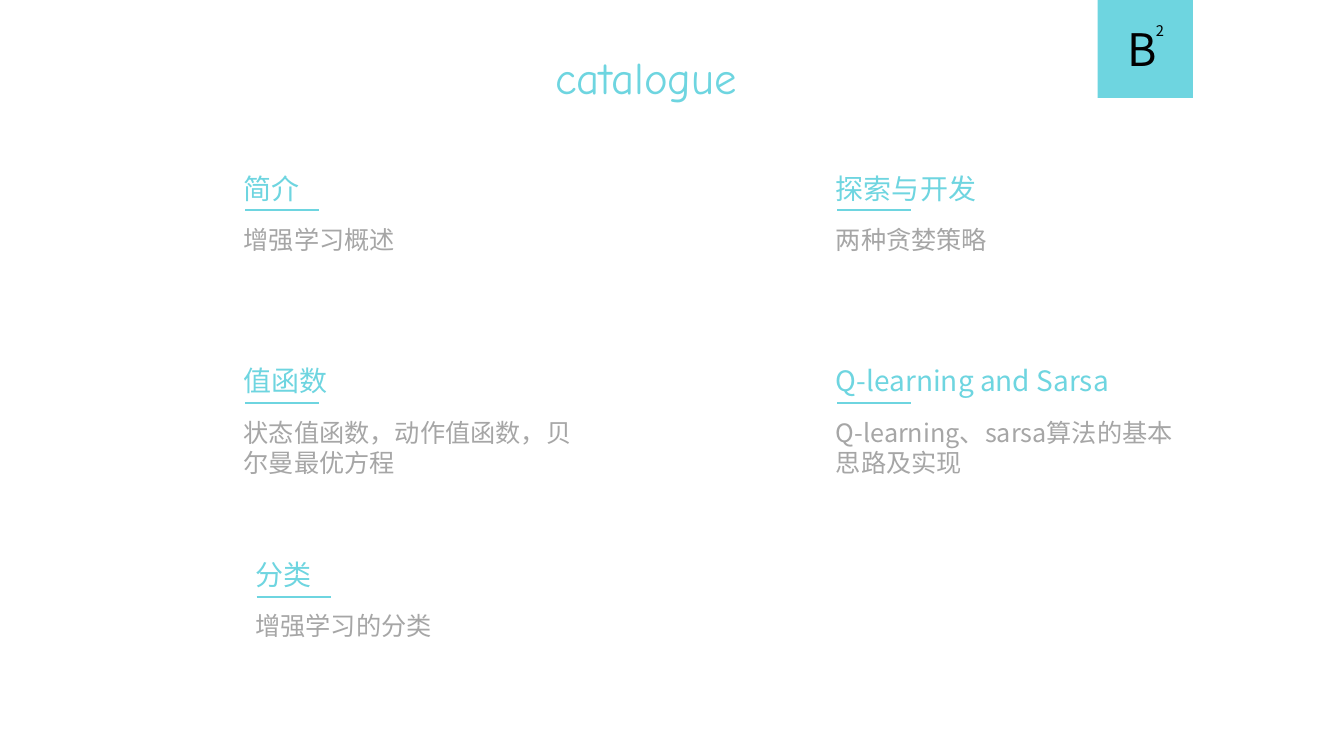
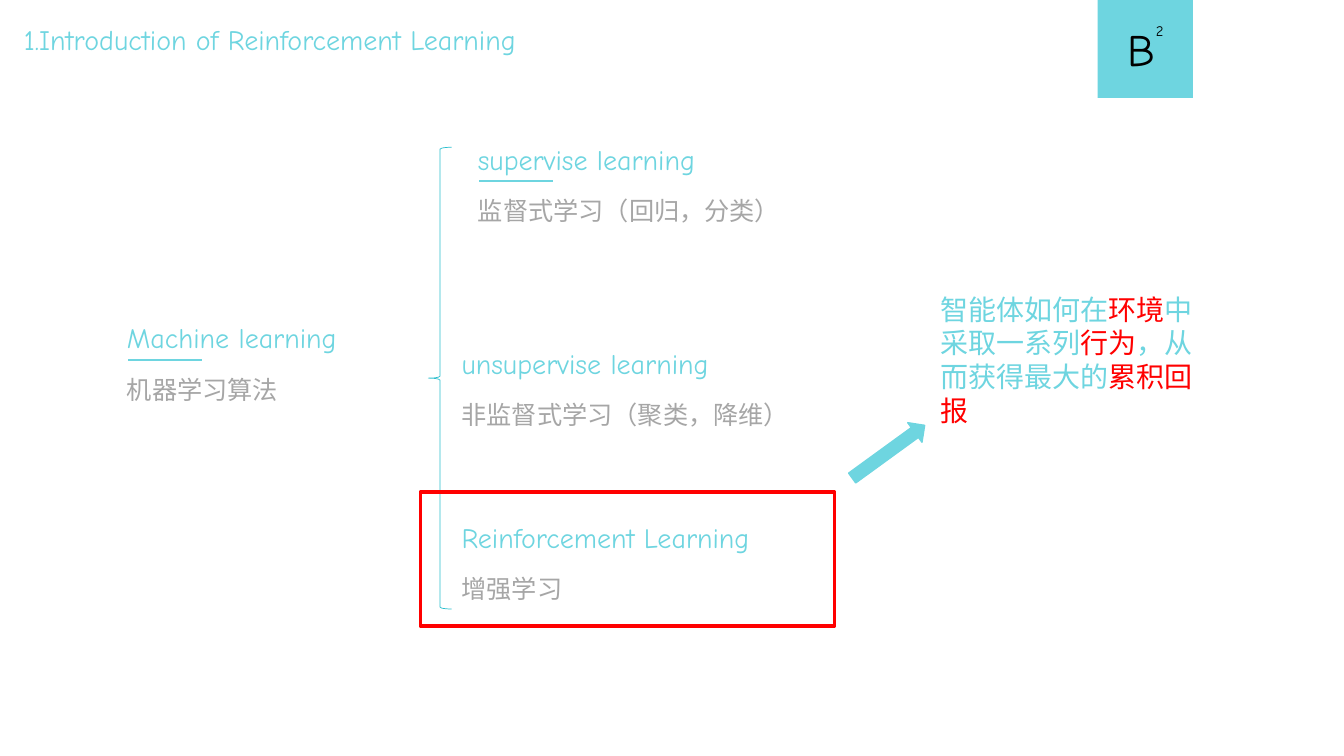
from lxml import etree
from pptx import Presentation
from pptx.dml.color import RGBColor
from pptx.enum import shapes, text
from pptx.oxml.ns import qn
from pptx.util import Pt

AQUA = RGBColor(0x6E, 0xD5, 0xE0)
TEAL = RGBColor(0x2C, 0xBF, 0xCE)
GRAY = RGBColor(0xA6, 0xA6, 0xA6)
RED = RGBColor(0xFF, 0, 0)
BLACK = RGBColor(0, 0, 0)
HAN, COMIC = "Noto Sans CJK SC", "Comic Neue"

# Content: column, row, heading, heading width, body
LEFT, RIGHT = 167, 590
TOP, MIDDLE = 118.6, 256.2
CATALOGUE = [
    (LEFT, TOP, "简介", 54.5, "增强学习概述"),
    (175.2, 394.6, "分类", 54.5, "增强学习的分类"),
    (LEFT, MIDDLE, "值函数", 74.5, "状态值函数，动作值函数，贝尔曼最优方程"),
    (RIGHT, TOP, "探索与开发", 114.5, "两种贪婪策略"),
    (RIGHT, MIDDLE, "Q-learning and Sarsa", 214.5, "Q-learning、sarsa算法的基本思路及实现"),
]
# The same, then whether the heading is underlined
BRANCHES = [
    (83.6, 225.6, "Machine learning", 172.8, "机器学习算法", True),
    (334.2, 98, "supervise learning", 183.6, "监督式学习（回归，分类）", True),
    (322.6, 243.8, "unsupervise learning", 204.5, "非监督式学习（聚类，降维）", False),
    (322.6, 368, "Reinforcement Learning", 239.8, "增强学习", False),
]
DEFINITION = [
    ("智能体如何在", AQUA), ("环境", RED), ("中采取一系列", AQUA),
    ("行为", RED), ("，从而获得最大的", AQUA), ("累积回报", RED),
]


def add_text(slide, place, spans, size, font, wrap=True, align=text.PP_ALIGN.LEFT):
    box = slide.shapes.add_textbox(*map(Pt, place))
    frame = box.text_frame
    frame.word_wrap = wrap
    frame.auto_size = text.MSO_AUTO_SIZE.SHAPE_TO_FIT_TEXT
    para = frame.paragraphs[0]
    para.alignment = align
    for words, color in spans:
        span = para.add_run()
        span.text = words
        span.font.size = Pt(size)
        span.font.name = font
        span.font.color.rgb = color
        east_asian = etree.SubElement(span.font._element, qn("a:ea"))
        east_asian.set("typeface", HAN)


def add_shape(slide, kind, place, fill=None, line=None, weight=1):
    shape = slide.shapes.add_shape(kind, *map(Pt, place))
    shape.shadow.inherit = False
    if fill is None:
        shape.fill.background()
    else:
        shape.fill.solid()
        shape.fill.fore_color.rgb = fill
    if line is None:
        shape.line.fill.background()
    else:
        shape.line.color.rgb = line
        shape.line.width = Pt(weight)
    return shape


def add_rule(slide, left, top):
    rule = slide.shapes.add_connector(
        shapes.MSO_CONNECTOR.STRAIGHT, Pt(left), Pt(top), Pt(left + 52.8), Pt(top))
    rule.line.color.rgb = AQUA
    rule.line.width = Pt(1.5)
    etree.SubElement(rule._element.spPr, qn("a:effectLst"))


def add_entry(slide, font, left, top, heading, width, body, underlined=True):
    add_text(slide, (left, top + 38, 262, 29), [(body, GRAY)], 18, font)
    add_text(slide, (left, top, width, 31.5), [(heading, AQUA)], 20, font, wrap=False)
    if underlined:
        add_rule(slide, left + 8.2, top + 31.6)


def add_badge(slide, font):
    add_shape(slide, shapes.MSO_SHAPE.RECTANGLE, (784, 0, 68, 70), fill=AQUA)
    add_text(slide, (798, 12.2, 33, 46), [("B", BLACK)], 32, font, wrap=False)
    add_text(slide, (818.6, 12.2, 20.5, 20), [("2", BLACK)], 10.5, font, wrap=False)


def build_catalogue(slide):
    add_text(slide, (383, 31.7, 157, 46), [("catalogue", AQUA)], 32, COMIC,
             wrap=False, align=text.PP_ALIGN.CENTER)
    add_badge(slide, HAN)
    for entry in CATALOGUE:
        add_entry(slide, HAN, *entry)


def build_introduction(slide):
    add_text(slide, (10, 12.2, 518, 31.5),
             [("1.Introduction of Reinforcement Learning", AQUA)], 20, COMIC)
    add_badge(slide, COMIC)

    # Tree of learning methods
    add_shape(slide, shapes.MSO_SHAPE.LEFT_BRACE, (306, 105.2, 16.6, 329.8),
              line=TEAL, weight=0.5)
    for branch in BRANCHES:
        add_entry(slide, COMIC, *branch)

    # Highlighted method and its definition
    add_shape(slide, shapes.MSO_SHAPE.RECTANGLE, (300.2, 351.4, 296, 95.8),
              line=RED, weight=2.25)
    arrow = add_shape(slide, shapes.MSO_SHAPE.RIGHT_ARROW, (602.6, 314, 64, 17.3),
                      fill=AQUA, line=AQUA)
    arrow.rotation = 324
    add_text(slide, (664.6, 205.2, 198, 104.4), DEFINITION, 20, COMIC)


def main():
    deck = Presentation()
    deck.slide_width, deck.slide_height = Pt(960), Pt(540)
    for build in (build_catalogue, build_introduction):
        build(deck.slides.add_slide(deck.slide_layouts[6]))
    deck.save("out.pptx")


if __name__ == "__main__":
    main()
